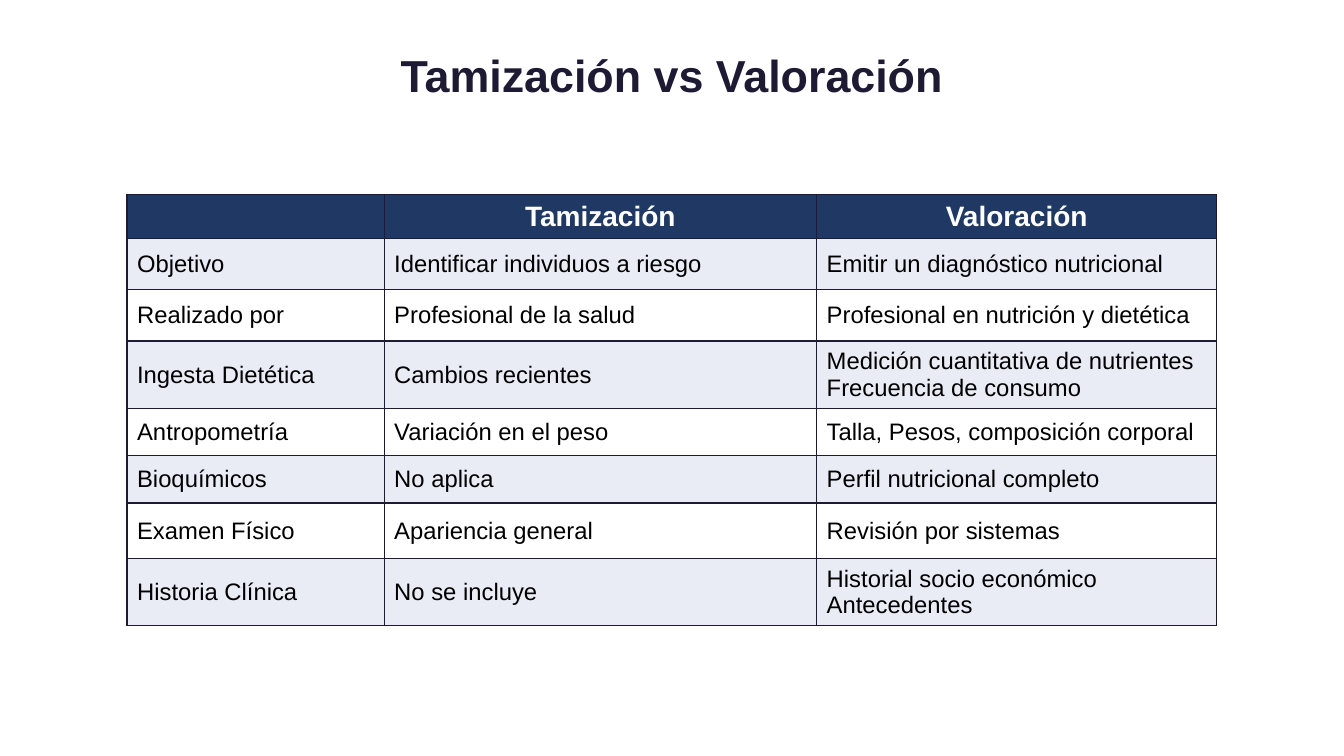
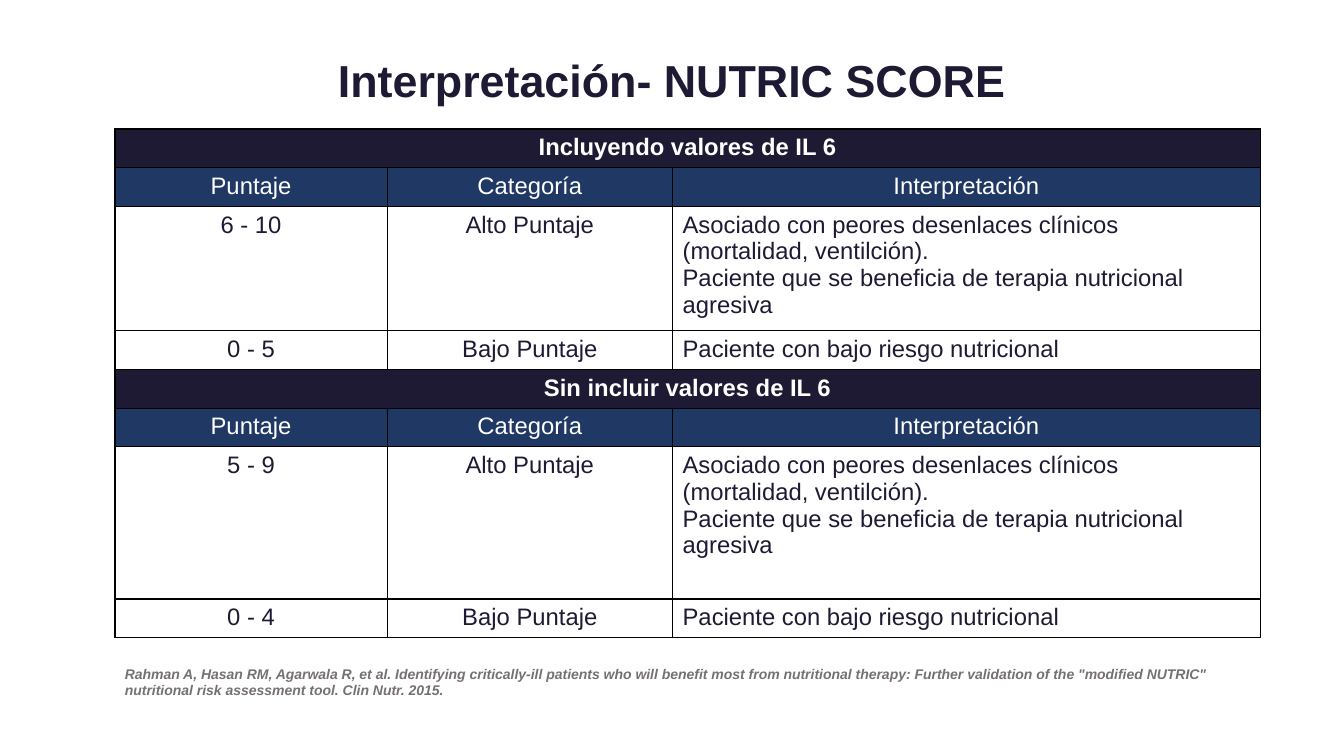
from lxml import etree
from pptx import Presentation
from pptx.dml.color import RGBColor
from pptx.enum import text as t
from pptx.oxml import ns
from pptx.util import Inches, Pt

FONT = "Arial"
INK = RGBColor(0x1F, 0x1A, 0x34)
NAVY = RGBColor(0x20, 0x38, 0x64)
PALE = RGBColor(0xE9, 0xEB, 0xF5)
GREY = RGBColor(0x76, 0x71, 0x71)
WHITE = RGBColor(0xFF, 0xFF, 0xFF)
BLACK = RGBColor(0x00, 0x00, 0x00)
LEFT, CENTER = t.PP_ALIGN.LEFT, t.PP_ALIGN.CENTER
TOP, MIDDLE = t.MSO_ANCHOR.TOP, t.MSO_ANCHOR.MIDDLE

COMPARISON = [
    ("", "Tamización", "Valoración"),
    ("Objetivo", "Identificar individuos a riesgo", "Emitir un diagnóstico nutricional"),
    ("Realizado por", "Profesional de la salud", "Profesional en nutrición y dietética"),
    ("Ingesta Dietética", "Cambios recientes",
     "Medición cuantitativa de nutrientes\nFrecuencia de consumo"),
    ("Antropometría", "Variación en el peso", "Talla, Pesos, composición corporal"),
    ("Bioquímicos", "No aplica", "Perfil nutricional completo"),
    ("Examen Físico", "Apariencia general", "Revisión por sistemas"),
    ("Historia Clínica", "No se incluye", "Historial socio económico Antecedentes"),
]
SCORE_HEADINGS = ("Puntaje", "Categoría", "Interpretación")
HIGH_RISK = ("Asociado con peores desenlaces clínicos (mortalidad, ventilción).\n"
             "Paciente que se beneficia de terapia nutricional agresiva")
LOW_RISK = "Paciente con bajo riesgo nutricional"
SCORE_GROUPS = [
    ("Incluyendo valores de IL 6", "6 - 10", "0 - 5"),
    ("Sin incluir valores de IL 6", "5 - 9", "0 - 4"),
]
CITATION = ("Rahman A, Hasan RM, Agarwala R, et al. Identifying critically-ill patients who will "
            "benefit most from nutritional therapy: Further validation of the \"modified NUTRIC\" "
            "nutritional risk assessment tool. Clin Nutr. 2015.")


def write(frame, text, size=17, color=INK, bold=False, italic=False, align=LEFT, spacing=None):
    """Fill a text frame, one paragraph per line of text."""
    frame.word_wrap = True
    for index, line in enumerate(text.split("\n")):
        paragraph = frame.add_paragraph() if index else frame.paragraphs[0]
        paragraph.alignment = align
        if spacing:
            paragraph.line_spacing = spacing
        if line:
            run = paragraph.add_run()
            run.text = line
            font = run.font
            font.name, font.size, font.bold, font.italic = FONT, Pt(size), bold, italic
            font.color.rgb = color


def add_text(slide, box, text, anchor=TOP, **style):
    """Place a text box in the given box of inches."""
    frame = slide.shapes.add_textbox(*map(Inches, box)).text_frame
    frame.vertical_anchor = anchor
    write(frame, text, **style)


def add_title(slide, top, height, text):
    """Place the centred title across the slide."""
    add_text(slide, (0, top, 13.33, height), text, MIDDLE,
             size=32, bold=True, align=CENTER, spacing=0.9)


def add_grid(slide, left, top, widths, heights):
    """Add an empty table with the given column widths and row heights."""
    grid = slide.shapes.add_table(len(heights), len(widths), Inches(left), Inches(top),
                                  Inches(sum(widths)), Inches(sum(heights))).table
    for column, width in zip(grid.columns, widths):
        column.width = Inches(width)
    for row, height in zip(grid.rows, heights):
        row.height = Inches(height)
    return grid


def style_cell(cell, fill, border, anchor):
    """Give a cell its fill, its four borders and its anchor."""
    cell.vertical_anchor = anchor
    cell.fill.solid()
    cell.fill.fore_color.rgb = fill
    properties = cell._tc.get_or_add_tcPr()
    for position, side in enumerate(("lnL", "lnR", "lnT", "lnB")):
        line = etree.Element(ns.qn("a:" + side), w=str(Pt(1)))
        solid = etree.SubElement(line, ns.qn("a:solidFill"))
        etree.SubElement(solid, ns.qn("a:srgbClr"), val=str(border))
        properties.insert(position, line)


def comparison_table(slide, left, top):
    """Build the table that sets screening against assessment."""
    heights = (0.41, 0.51, 0.51, 0.64, 0.47, 0.47, 0.55, 0.63)
    grid = add_grid(slide, left, top, (2.55, 4.29, 3.97), heights)
    for r, row in enumerate(COMPARISON):
        fill = PALE if r % 2 else WHITE
        style = dict(color=BLACK)
        if r == 0:
            fill, style = NAVY, dict(size=20, color=WHITE, bold=True, align=CENTER)
        for c, text in enumerate(row):
            cell = grid.cell(r, c)
            style_cell(cell, fill, INK, MIDDLE)
            write(cell.text_frame, text, **style)


def score_table(slide, left, top):
    """Build the table of score groups, each with a band, headings and two ranges."""
    heights = (0.38, 0.38, 1.23, 0.38, 0.38, 0.38, 1.51, 0.38)
    grid = add_grid(slide, left, top, (2.7, 2.83, 5.83), heights)
    rows = []
    for band, high, low in SCORE_GROUPS:
        rows += [
            ((band, "", ""), INK, WHITE),
            (SCORE_HEADINGS, NAVY, WHITE),
            ((high, "Alto Puntaje", HIGH_RISK), WHITE, INK),
            ((low, "Bajo Puntaje", LOW_RISK), WHITE, INK),
        ]
    for r, (texts, fill, color) in enumerate(rows):
        is_band = fill == INK
        for c, text in enumerate(texts):
            cell = grid.cell(r, c)
            style_cell(cell, fill, BLACK, TOP)
            align = LEFT if c == 2 and fill == WHITE else CENTER
            write(cell.text_frame, text, color=color, bold=is_band, align=align)
        if is_band:
            grid.cell(r, 0).merge(grid.cell(r, 2))


def comparison_slide(slide):
    """Build the slide on screening versus assessment."""
    add_title(slide, 0.13, 1.29, "Tamización vs Valoración")
    comparison_table(slide, 1.26, 1.93)


def score_slide(slide):
    """Build the slide on how to read the score."""
    add_title(slide, 0.1, 1.45, "Interpretación- NUTRIC SCORE")
    add_text(slide, (1.14, 6.55, 11.36, 0.44), CITATION,
             size=10, color=GREY, bold=True, italic=True)
    score_table(slide, 1.14, 1.28)


def main():
    """Build and save the presentation."""
    deck = Presentation()
    deck.slide_width, deck.slide_height = Inches(13.33), Inches(7.5)
    for build in (comparison_slide, score_slide):
        build(deck.slides.add_slide(deck.slide_layouts[6]))
    deck.save("out.pptx")


if __name__ == "__main__":
    main()
